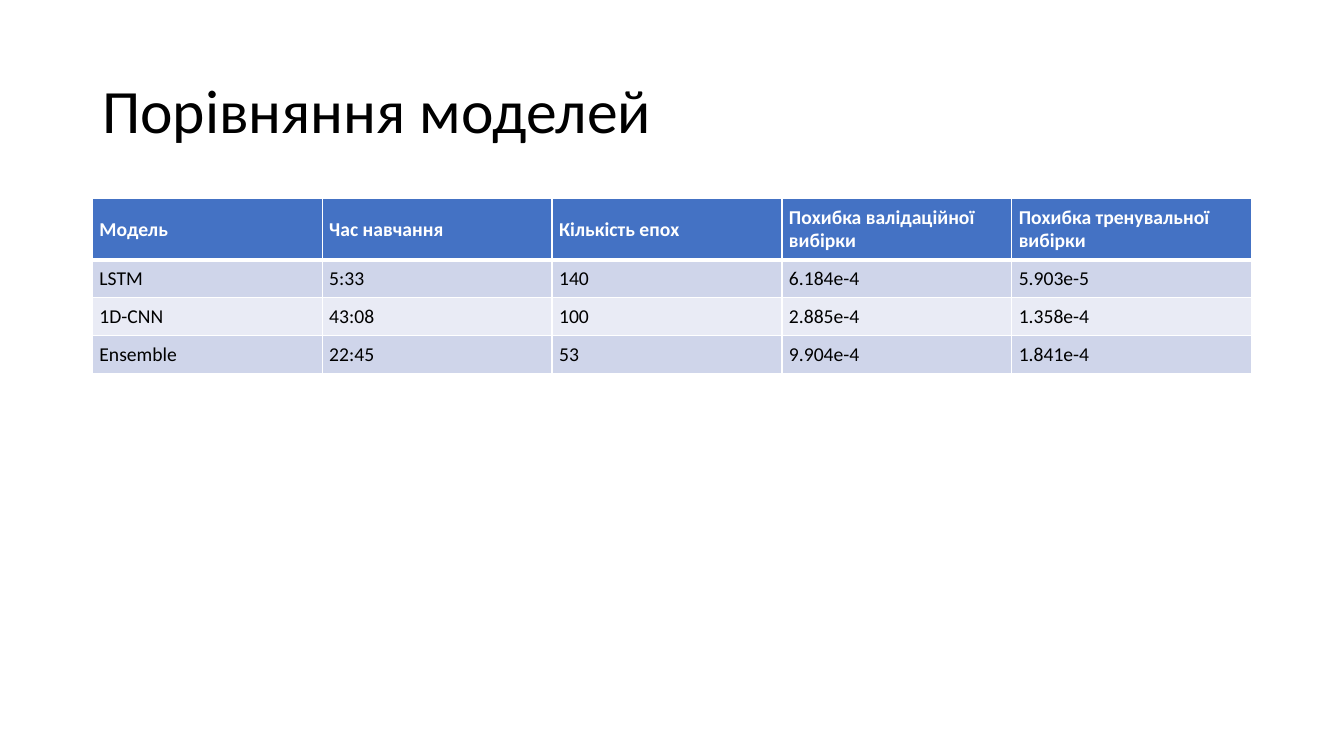
import pptx
import pptx.dml.color
import pptx.enum.text
import pptx.oxml
import pptx.oxml.ns
import pptx.util

Pt = pptx.util.Pt
MIDDLE = pptx.enum.text.MSO_ANCHOR.MIDDLE

FONT = "Calibri"
LEFT, WIDTH = 66, 828
COLUMN_WIDTHS = [164.2] * 4 + [171.2]
ROW_HEIGHTS = [44] + [27] * 3
HEADER_FILL = "4472C4"
BAND_FILLS = ["CFD5EA", "E9EBF5"]
MODELS = [
    ["Модель", "Час навчання", "Кількість епох",
     "Похибка валідаційної вибірки", "Похибка тренувальної вибірки"],
    ["LSTM", "5:33", "140", "6.184e-4", "5.903e-5"],
    ["1D-CNN", "43:08", "100", "2.885e-4", "1.358e-4"],
    ["Ensemble", "22:45", "53", "9.904e-4", "1.841e-4"],
]


def color(value):
    """Turn a hex string into a colour."""
    return pptx.dml.color.RGBColor.from_string(value)


def style_text(para, size, value, bold=False):
    """Set the font of a paragraph."""
    para.font.name = FONT
    para.font.size = Pt(size)
    para.font.bold = bold
    para.font.color.rgb = color(value)


def add_title(page, text):
    """Add the slide title, centred vertically in its box."""
    box = page.shapes.add_textbox(Pt(LEFT), Pt(28.75), Pt(WIDTH), Pt(104.4))
    frame = box.text_frame
    frame.word_wrap = True
    frame.vertical_anchor = MIDDLE
    para = frame.paragraphs[0]
    para.text = text
    para.line_spacing = 0.9
    style_text(para, 44, "000000")


def add_borders(cell, bottom, top):
    """Draw white lines round a cell, of the given widths above and below."""
    properties = cell._tc.get_or_add_tcPr()
    for side, width in (("L", 1), ("R", 1), ("T", top), ("B", bottom)):
        properties.append(pptx.oxml.parse_xml(
            f'<a:ln{side} {pptx.oxml.ns.nsdecls("a")} w="{Pt(width)}">'
            '<a:solidFill><a:srgbClr val="FFFFFF"/></a:solidFill>'
            f'</a:ln{side}>'))


def fill_cell(cell, text, row_index):
    """Write and style one cell according to its row."""
    header = row_index == 0
    cell.text = text
    cell.vertical_anchor = MIDDLE
    cell.margin_left = cell.margin_right = Pt(5)
    cell.margin_top = cell.margin_bottom = Pt(5)
    style_text(cell.text_frame.paragraphs[0], 14,
               "FFFFFF" if header else "000000", header)
    add_borders(cell, bottom=3 if header else 1, top=3 if row_index == 1 else 1)
    cell.fill.solid()
    cell.fill.fore_color.rgb = color(
        HEADER_FILL if header else BAND_FILLS[(row_index - 1) % 2])


def add_model_table(page, rows):
    """Add the table that compares the models."""
    table = page.shapes.add_table(
        len(rows), len(rows[0]), Pt(LEFT), Pt(141.75),
        Pt(WIDTH), Pt(sum(ROW_HEIGHTS))).table
    for column, width in zip(table.columns, COLUMN_WIDTHS):
        column.width = Pt(width)
    for row_index, texts in enumerate(rows):
        table.rows[row_index].height = Pt(ROW_HEIGHTS[row_index])
        for column_index, text in enumerate(texts):
            fill_cell(table.cell(row_index, column_index), text, row_index)


def main():
    """Build the slide and save the deck."""
    deck = pptx.Presentation()
    deck.slide_width, deck.slide_height = Pt(960), Pt(540)
    page = deck.slides.add_slide(deck.slide_layouts[6])
    add_title(page, "Порівняння моделей")
    add_model_table(page, MODELS)
    deck.save("out.pptx")


main()
